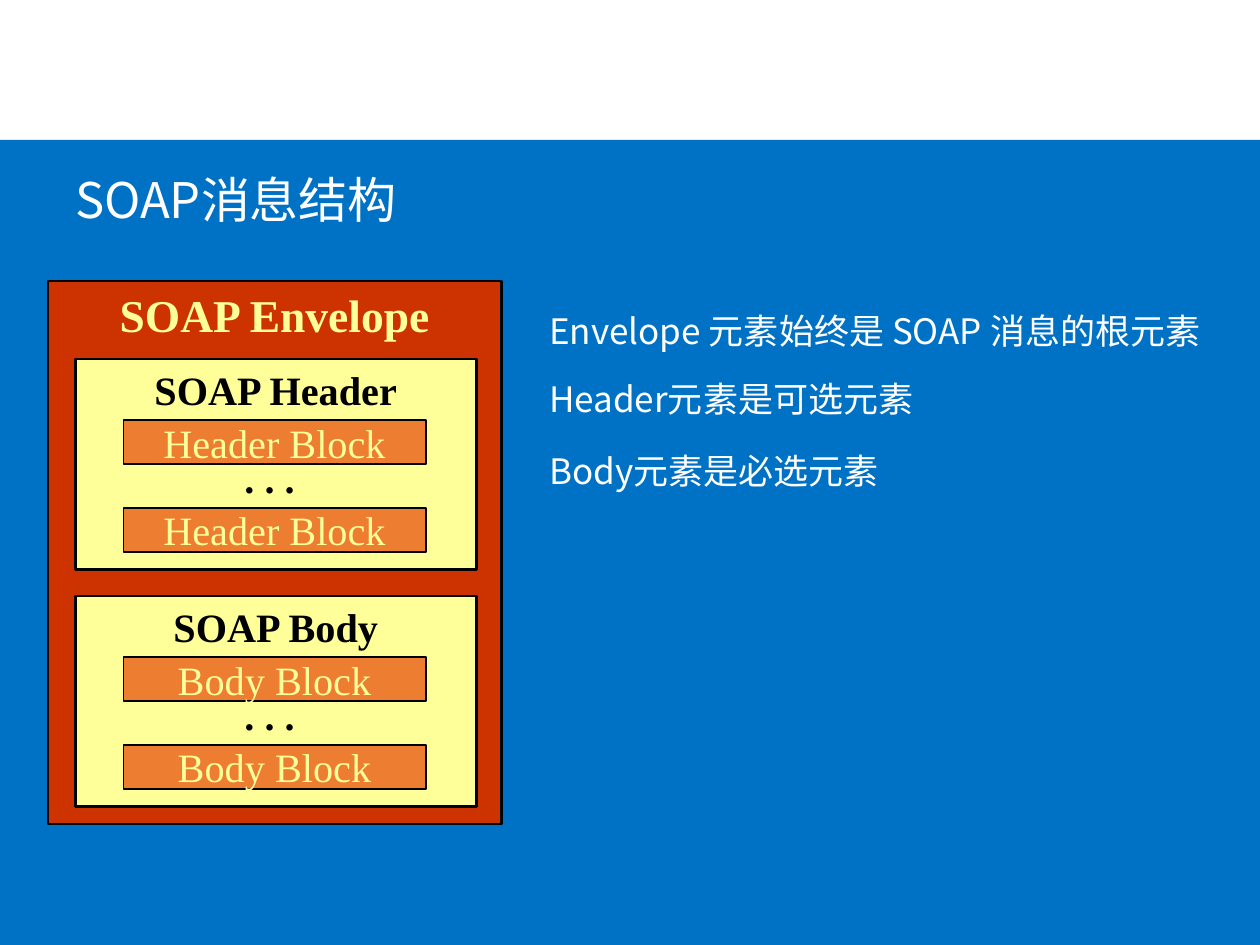
import pptx
import pptx.util
import pptx.dml.color
import pptx.enum.shapes
import pptx.enum.text
import pptx.oxml.ns
import lxml.etree

TITLE = "SOAP消息结构"
ENVELOPE = "SOAP Envelope"
SECTIONS = [("SOAP Header", "Header Block"), ("SOAP Body", "Body Block")]
ELLIPSIS = ". . . "
RULES = [
    "Envelope 元素始终是 SOAP 消息的根元素",
    "Header元素是可选元素",
    "Body元素是必选元素",
]

COLORS = {
    "panel": "0072C6",
    "envelope": "CC3300",
    "section": "FFFF99",
    "block": "ED7D31",
    "light": "FFFF99",
    "dark": "000000",
    "white": "FFFFFF",
}
SANS, SERIF = "Noto Sans CJK SC", "Times New Roman"

COLUMNS, ROWS = 100, 75
PANEL_TOP = 11.1
RULE_TOPS = [24.1, 29.5, 35.2]
SECTION_TOP, SECTION_PITCH = 28.5, 18.8
BLOCK_OFFSETS = [4.85, 11.8]
ELLIPSIS_OFFSET = 7.65

deck = pptx.Presentation()
deck.slide_width = pptx.util.Inches(10)
deck.slide_height = pptx.util.Inches(7.5)
slide = deck.slides.add_slide(deck.slide_layouts[6])


def rgb(name):
    return pptx.dml.color.RGBColor.from_string(COLORS[name])


def cells(column, row, columns, rows):
    across, down = deck.slide_width / COLUMNS, deck.slide_height / ROWS
    return [round(n) for n in (column * across, row * down, columns * across, rows * down)]


def write(shape, text, size, color, face, bold=False, centred=False, middle=False):
    frame = shape.text_frame
    frame.text = text
    frame.word_wrap = not centred
    side = 0.09 if centred else 0.1
    frame.margin_left = frame.margin_right = pptx.util.Inches(side)
    anchors = pptx.enum.text.MSO_ANCHOR
    frame.vertical_anchor = anchors.MIDDLE if middle else anchors.TOP
    line = frame.paragraphs[0]
    aligns = pptx.enum.text.PP_ALIGN
    line.alignment = aligns.CENTER if centred else aligns.LEFT
    line.font.size = pptx.util.Pt(size)
    line.font.bold = bold
    line.font.color.rgb = rgb(color)
    line.font.name = face
    for defaults in line._p.xpath("./a:pPr/a:defRPr"):
        east_asian = lxml.etree.SubElement(defaults, pptx.oxml.ns.qn("a:ea"))
        east_asian.set("typeface", face)


def box(parent, area, fill, border=None):
    shape = parent.add_shape(pptx.enum.shapes.MSO_SHAPE.RECTANGLE, *cells(*area))
    shape.shadow.inherit = False
    shape.fill.solid()
    shape.fill.fore_color.rgb = rgb(fill)
    if border:
        shape.line.color.rgb = rgb("dark")
        shape.line.width = pptx.util.Pt(border)
    else:
        shape.line.fill.background()
    return shape


def caption(area, text, size):
    label = slide.shapes.add_textbox(*cells(*area))
    write(label, text, size, "white", SANS)
    label.text_frame.auto_size = pptx.enum.text.MSO_AUTO_SIZE.SHAPE_TO_FIT_TEXT


box(slide.shapes, (0, PANEL_TOP, COLUMNS, ROWS - PANEL_TOP), "panel")
caption((5, 13, 37.6, 5.7), TITLE, 28)

message = slide.shapes.add_group_shape().shapes
envelope = box(message, (3.8, 22.3, 36, 43.1), "envelope", 1.5)
write(envelope, ENVELOPE, 26, "light", SERIF, bold=True, centred=True)

for index, (heading, block_text) in enumerate(SECTIONS):
    top = SECTION_TOP + index * SECTION_PITCH
    section = box(message, (6, top, 31.8, 16.7), "section", 1.5)
    write(section, heading, 23, "dark", SERIF, bold=True, centred=True)
    for offset in BLOCK_OFFSETS:
        block = box(message, (9.8, top + offset, 24, 3.5), "block", 1)
        write(block, block_text, 23, "light", SERIF, centred=True, middle=True)
    dots = message.add_textbox(*cells(9.8, top + ELLIPSIS_OFFSET, 24, 3.5))
    write(dots, ELLIPSIS, 23, "dark", SERIF, bold=True, centred=True, middle=True)

for top, rule in zip(RULE_TOPS, RULES):
    caption((42.6, top, 57, 4.4), rule, 20)

deck.save("out.pptx")
